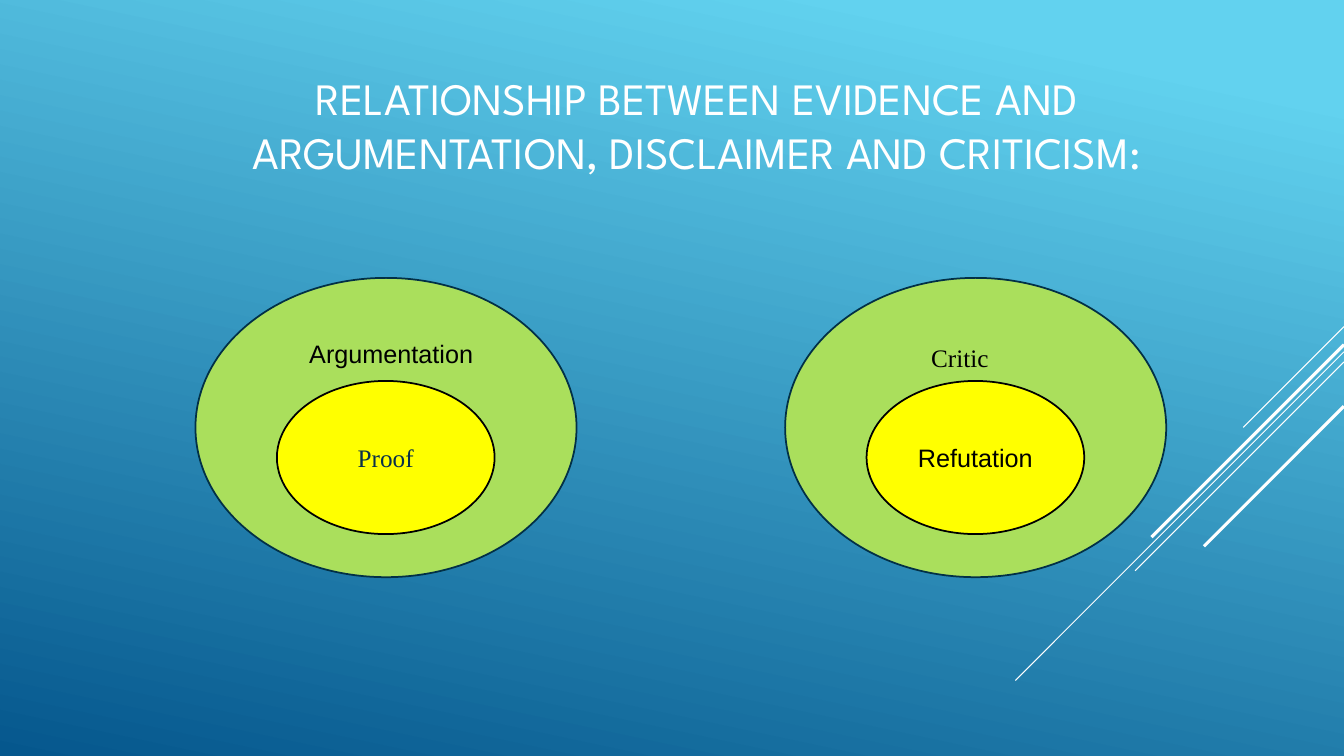
from pptx import Presentation
from pptx.dml.color import RGBColor
from pptx.enum.shapes import MSO_CONNECTOR as Connector, MSO_SHAPE as Shape
from pptx.enum.text import MSO_ANCHOR as Anchor, PP_ALIGN as Align
from pptx.oxml.ns import qn
from pptx.util import Pt
from lxml.etree import SubElement

WHITE = RGBColor(0xFF, 0xFF, 0xFF)
BLACK = RGBColor(0x00, 0x00, 0x00)
SKY = RGBColor(0x62, 0xD2, 0xEF)
DEEP_BLUE = RGBColor(0x05, 0x57, 0x8D)
NAVY = RGBColor(0x02, 0x30, 0x46)
INK = RGBColor(0x09, 0x30, 0x4A)
GREEN = RGBColor(0xAA, 0xDF, 0x5C)
YELLOW = RGBColor(0xFF, 0xFF, 0x00)

SANS, SERIF, DISPLAY = "Arial", "Times New Roman", "League Spartan"
WIDTH, HEIGHT = 960, 540


def write(shape, text, font=SANS, size=18, color=BLACK, align=Align.LEFT,
          anchor=Anchor.TOP):
    frame = shape.text_frame
    frame.word_wrap = True
    frame.vertical_anchor = anchor
    paragraph = frame.paragraphs[0]
    paragraph.text = text
    paragraph.alignment = align
    paragraph.font.name = font
    paragraph.font.size = Pt(size)
    paragraph.font.color.rgb = color


def add_text(slide, left, top, width, height, text, **text_format):
    box = slide.shapes.add_textbox(Pt(left), Pt(top), Pt(width), Pt(height))
    write(box, text, **text_format)


def add_ellipse(slide, left, top, width, height, fill, line):
    ellipse = slide.shapes.add_shape(Shape.OVAL, Pt(left), Pt(top), Pt(width), Pt(height))
    ellipse.shadow.inherit = False
    ellipse.fill.solid()
    ellipse.fill.fore_color.rgb = fill
    ellipse.line.color.rgb = line
    ellipse.line.width = Pt(1.25)
    return ellipse


def paint_background(slide):
    fill = slide.background.fill
    fill.gradient()
    fill.gradient_angle = 360 - 102
    for stop, position, color in zip(fill.gradient_stops, (0.1, 1), (SKY, DEEP_BLUE)):
        stop.position = position
        stop.color.rgb = color


def add_diagonals(slide, right):
    """Draw 45-degree strokes running down and left from the right edge."""
    strokes = ((233.3, 72, 0.75), (251.3, 234.7, 0.75), (258.5, 149.2, 0.75),
               (246.2, 137.5, 2.25), (290.2, 100, 2.25))
    for top, run, weight in strokes:
        stroke = slide.shapes.add_connector(
            Connector.STRAIGHT, Pt(right), Pt(top), Pt(right - run), Pt(top + run))
        stroke.line.color.rgb = WHITE
        stroke.line.width = Pt(weight)
        SubElement(stroke._element.spPr, qn("a:effectLst"))


def add_nested_sets(slide, left, top, outer, outer_font, label_box, inner,
                    inner_font, inner_color=BLACK):
    """Draw a yellow set inside a green one; label_box is relative to left and top."""
    add_ellipse(slide, left, top, 272.2, 213.8, GREEN, NAVY)
    label_left, label_top, label_width = label_box
    add_text(slide, left + label_left, top + label_top, label_width, 29, outer,
             font=outer_font)
    core = add_ellipse(slide, left + 58.2, top + 73.6, 155.5, 109.4, YELLOW, BLACK)
    write(core, inner, font=inner_font, color=inner_color, align=Align.CENTER,
          anchor=Anchor.MIDDLE)


def build_slide(presentation):
    slide = presentation.slides.add_slide(presentation.slide_layouts[6])
    paint_background(slide)
    add_diagonals(slide, WIDTH)
    add_text(slide, 162, 8.6, 672, 161.3,
             "RELATIONSHIP BETWEEN EVIDENCE AND ARGUMENTATION, DISCLAIMER AND CRITICISM:",
             font=DISPLAY, size=32, color=WHITE, align=Align.CENTER, anchor=Anchor.MIDDLE)
    add_nested_sets(slide, 139.6, 198.5, "Argumentation", SANS, (74.2, 39.8, 132),
                    "Proof", SERIF, INK)
    add_nested_sets(slide, 560.8, 198.5, "Critic", SERIF, (97.3, 42.7, 80),
                    "Refutation", SANS)


def main():
    presentation = Presentation()
    presentation.slide_width = Pt(WIDTH)
    presentation.slide_height = Pt(HEIGHT)
    build_slide(presentation)
    presentation.save("out.pptx")


if __name__ == "__main__":
    main()
